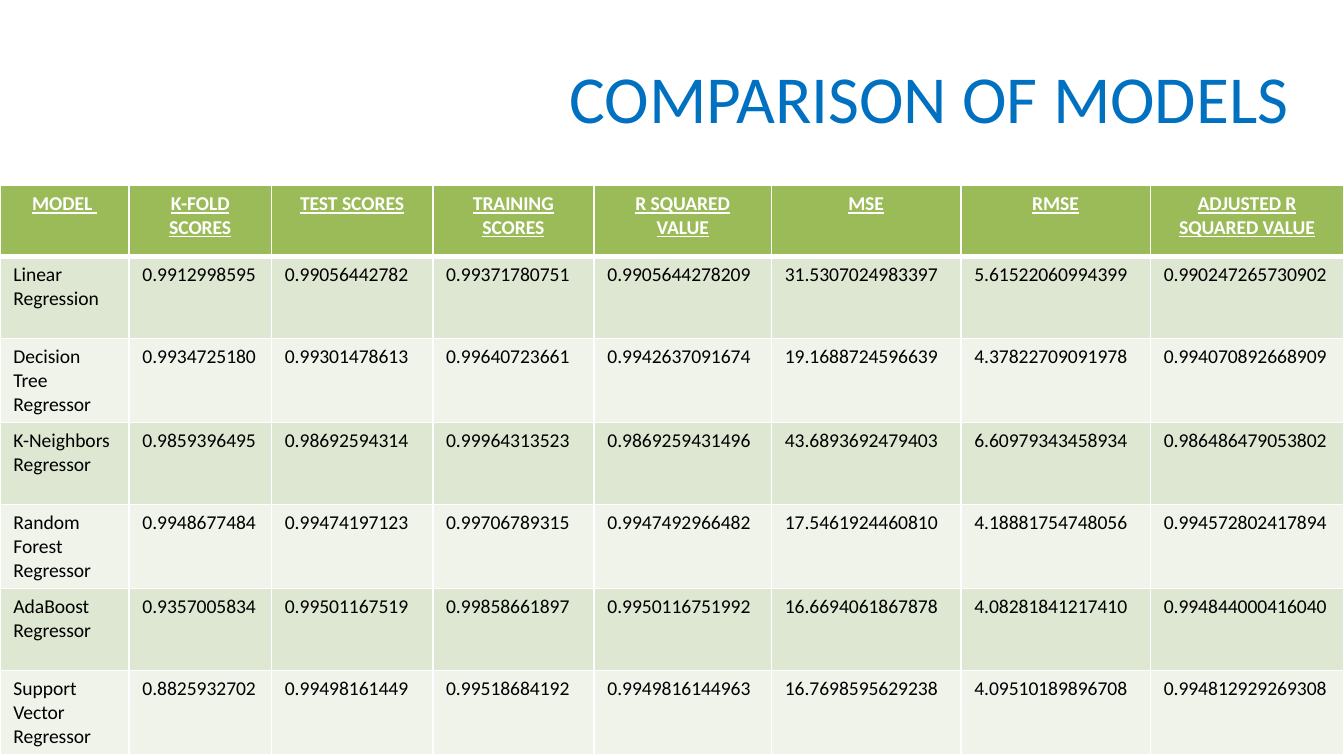
import pptx
import pptx.util
import pptx.dml.color
import pptx.enum.text
import pptx.oxml
import pptx.oxml.ns

WIDTH = 10
HEIGHT = WIDTH * 9 / 16
FONT = "Calibri"
WHITE, BLACK, BLUE = "FFFFFF", "000000", "0070C0"
HEADER_FILL = "9BBB59"
BAND_FILLS = ["DEE7D1", "EFF3EA"]
ALIGN = pptx.enum.text.PP_ALIGN

COLUMN_WIDTHS = [0.96, 1.06, 1.2, 1.2, 1.32, 1.41, 1.41, 1.44]
HEADER_HEIGHT, ROW_HEIGHT = 0.53, 0.61
THIN, THICK = 1, 3
HEADINGS = ["MODEL ", "K-FOLD SCORES", "TEST SCORES", "TRAINING SCORES",
            "R SQUARED VALUE", "MSE", "RMSE", "ADJUSTED R SQUARED VALUE"]
MODELS = [
    ["Linear Regression", "0.9912998595", "0.99056442782", "0.99371780751",
     "0.9905644278209", "31.5307024983397", "5.61522060994399", "0.990247265730902"],
    ["Decision Tree Regressor", "0.9934725180", "0.99301478613", "0.99640723661",
     "0.9942637091674", "19.1688724596639", "4.37822709091978", "0.994070892668909"],
    ["K-Neighbors Regressor", "0.9859396495", "0.98692594314", "0.99964313523",
     "0.9869259431496", "43.6893692479403", "6.60979343458934", "0.986486479053802"],
    ["Random Forest Regressor", "0.9948677484", "0.99474197123", "0.99706789315",
     "0.9947492966482", "17.5461924460810", "4.18881754748056", "0.994572802417894"],
    ["AdaBoost Regressor", "0.9357005834", "0.99501167519", "0.99858661897",
     "0.9950116751992", "16.6694061867878", "4.08281841217410", "0.994844000416040"],
    ["Support Vector Regressor", "0.8825932702", "0.99498161449", "0.99518684192",
     "0.9949816144963", "16.7698595629238", "4.09510189896708", "0.994812929269308"],
]


def color(value):
    return pptx.dml.color.RGBColor.from_string(value)


def write(frame, text, size, ink, align, strong=False):
    frame.text = text
    para = frame.paragraphs[0]
    para.alignment = align
    font = para.runs[0].font
    font.name, font.size = FONT, pptx.util.Pt(size)
    font.bold = font.underline = strong
    font.color.rgb = color(ink)


def add_borders(cell, top, bottom):
    properties = cell._tc.get_or_add_tcPr()
    for side, points in (("L", THIN), ("R", THIN), ("T", top), ("B", bottom)):
        properties.append(pptx.oxml.parse_xml(
            f'<a:ln{side} {pptx.oxml.ns.nsdecls("a")} w="{pptx.util.Pt(points)}">'
            f'<a:solidFill><a:srgbClr val="{WHITE}"/></a:solidFill></a:ln{side}>'))


def fill_row(row, texts, fill, ink, align, top=THIN, bottom=THIN, strong=False):
    for cell, text in zip(row.cells, texts):
        add_borders(cell, top, bottom)
        cell.fill.solid()
        cell.fill.fore_color.rgb = color(fill)
        write(cell.text_frame, text, 10.5, ink, align, strong)


def add_title(page, left, top, width, height):
    box = page.shapes.add_textbox(*map(pptx.util.Inches, (left, top, width, height)))
    frame = box.text_frame
    frame.word_wrap = True
    frame.vertical_anchor = pptx.enum.text.MSO_ANCHOR.MIDDLE
    write(frame, "COMPARISON OF MODELS ", 36, BLUE, ALIGN.RIGHT)


def add_scores(page, left, top, width, height):
    table = page.shapes.add_table(
        len(MODELS) + 1, len(HEADINGS),
        *map(pptx.util.Inches, (left, top, width, height))).table
    table.horz_banding = False
    for column, share in zip(table.columns, COLUMN_WIDTHS):
        column.width = pptx.util.Inches(width * share / sum(COLUMN_WIDTHS))
    header, *rows = table.rows
    header.height = pptx.util.Inches(HEADER_HEIGHT)
    fill_row(header, HEADINGS, HEADER_FILL, WHITE, ALIGN.CENTER,
             bottom=THICK, strong=True)
    for index, (row, model) in enumerate(zip(rows, MODELS)):
        row.height = pptx.util.Inches(ROW_HEIGHT)
        fill_row(row, model, BAND_FILLS[index % 2], BLACK, ALIGN.LEFT,
                 top=THIN if index else THICK)


def main():
    deck = pptx.Presentation()
    deck.slide_width = pptx.util.Inches(WIDTH)
    deck.slide_height = pptx.util.Inches(HEIGHT)
    page = deck.slides.add_slide(deck.slide_layouts[6])
    add_title(page, 4.05, 0.3, 5.75, 0.84)
    add_scores(page, 0, 1.38, WIDTH, HEADER_HEIGHT + len(MODELS) * ROW_HEIGHT)
    deck.save("out.pptx")


if __name__ == "__main__":
    main()
